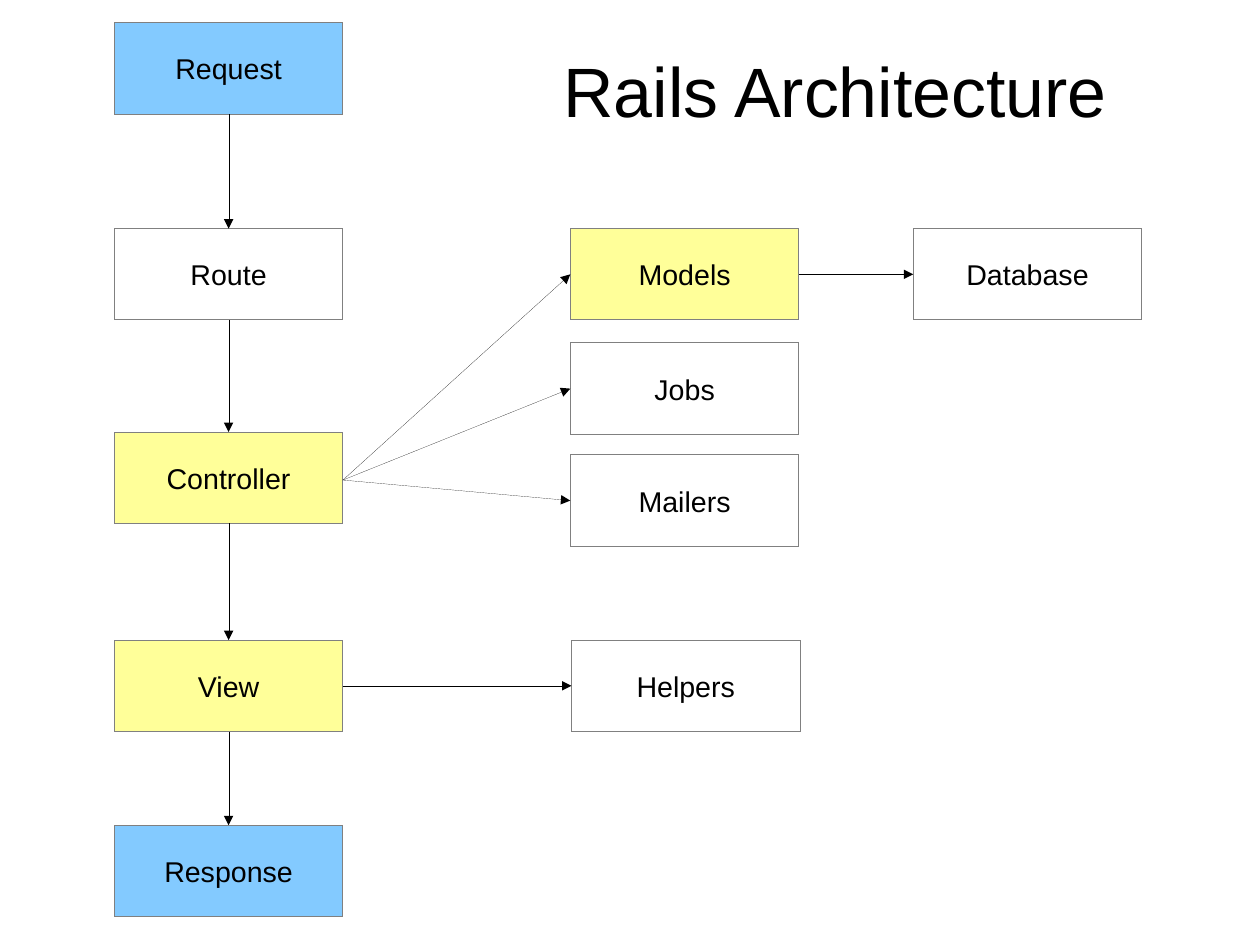
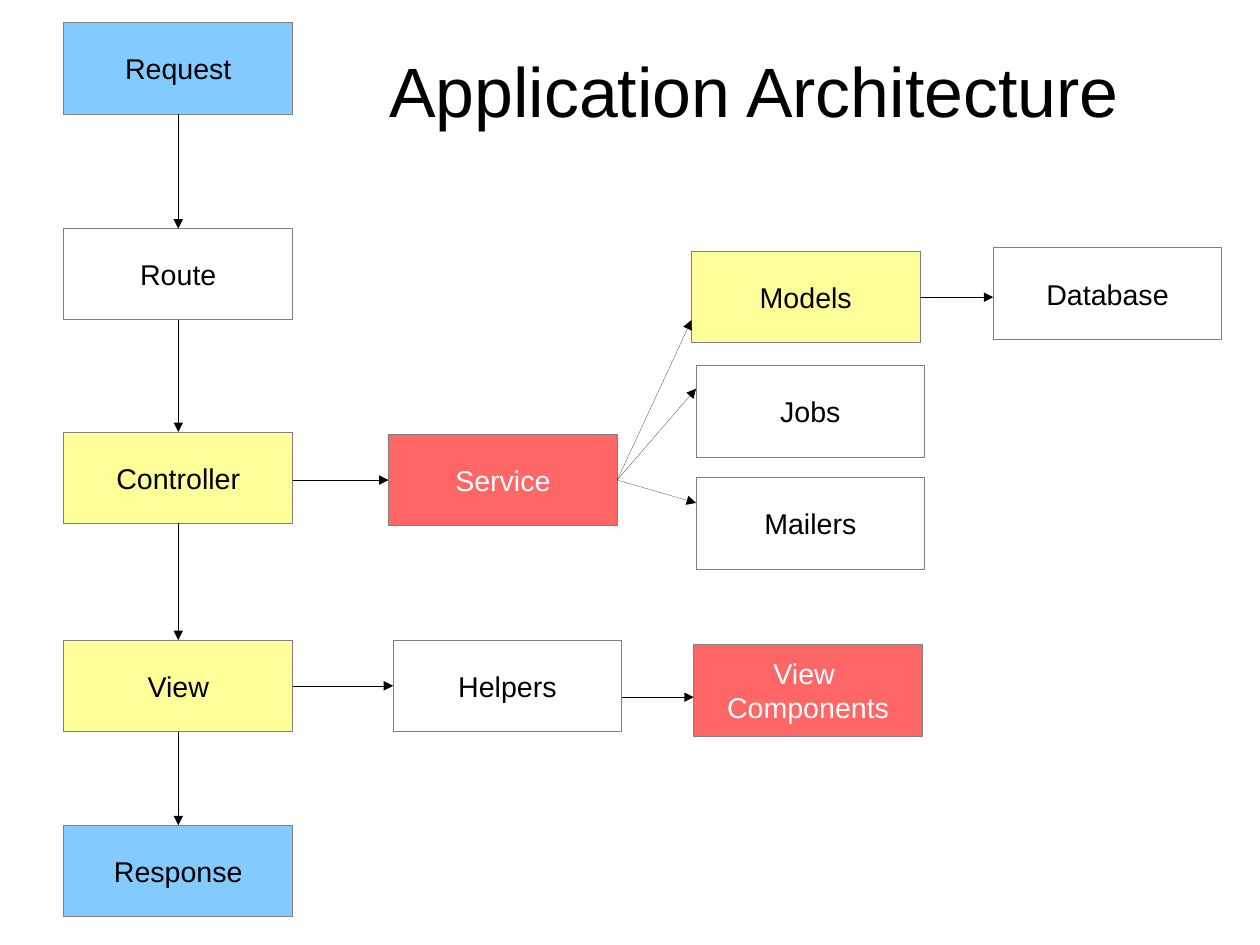
from dataclasses import dataclass
from typing import Optional

from lxml.etree import SubElement
from pptx import Presentation
from pptx.dml.color import RGBColor
from pptx.enum.shapes import MSO_CONNECTOR, MSO_SHAPE
from pptx.enum.text import MSO_ANCHOR, PP_ALIGN
from pptx.oxml.ns import qn
from pptx.shapes.autoshape import Shape
from pptx.shapes.connector import Connector
from pptx.slide import Slide
from pptx.text.text import TextFrame
from pptx.util import Inches, Pt

# Shared style
BLACK = RGBColor(0x00, 0x00, 0x00)
WHITE = RGBColor(0xFF, 0xFF, 0xFF)
GRAY = RGBColor(0x80, 0x80, 0x80)
BLUE = RGBColor(0x83, 0xCA, 0xFF)
YELLOW = RGBColor(0xFF, 0xFF, 0x99)
RED = RGBColor(0xFF, 0x66, 0x66)
FONT = "Arial"
CM_PER_INCH = 2.54
SLIDE_WIDTH, SLIDE_HEIGHT = 28 / CM_PER_INCH, 21 / CM_PER_INCH
BOX_WIDTH, BOX_HEIGHT = 2.0, 0.8
TITLE_TOP, TITLE_WIDTH, TITLE_HEIGHT = 0.09, 7.0, 1.38
TOP, LEFT, BOTTOM, RIGHT = range(4)


@dataclass(frozen=True)
class Box:
    text: str
    left: float
    top: float
    fill: RGBColor = WHITE
    color: RGBColor = BLACK


@dataclass(frozen=True)
class Arrow:
    """An arrow; a given start_y or end_y replaces the middle of the side."""
    source: str
    target: str
    start_side: int = RIGHT
    end_side: int = LEFT
    start_y: Optional[float] = None
    end_y: Optional[float] = None


@dataclass(frozen=True)
class Diagram:
    title: str
    title_center: float
    boxes: list[Box]
    arrows: list[Arrow]


def request_flow(left: float) -> list[Box]:
    return [
        Box("Request", left, 0.2, BLUE),
        Box("Route", left, 2),
        Box("Controller", left, 3.78, YELLOW),
        Box("View", left, 5.6, YELLOW),
        Box("Response", left, 7.22, BLUE),
    ]


def back_end(left: float, models_left: float, top: float) -> list[Box]:
    return [
        Box("Models", models_left, top, YELLOW),
        Box("Jobs", left, top + 1),
        Box("Mailers", left, top + 1.98),
    ]


VIEW_COMPONENTS = "View \nComponents"
FLOW_NAMES = [box.text for box in request_flow(0)]
SHARED_ARROWS = [
    Arrow(source, target, BOTTOM, TOP)
    for source, target in zip(FLOW_NAMES, FLOW_NAMES[1:])
] + [Arrow("View", "Helpers")]

DIAGRAMS = [
    Diagram(
        "Rails Architecture", 7.31,
        request_flow(1) + back_end(4.99, 4.99, 2) + [
            Box("Helpers", 5, 5.6),
            Box("Database", 7.99, 2),
        ],
        SHARED_ARROWS + [Arrow("Models", "Database")] + [
            Arrow("Controller", name, start_y=4.2)
            for name in ("Models", "Jobs", "Mailers")
        ],
    ),
    Diagram(
        "Application Architecture", 6.6,
        request_flow(0.56) + back_end(6.09, 6.05, 2.2) + [
            Box("Helpers", 3.44, 5.6),
            Box("Database", 8.69, 2.17),
            Box("Service", 3.4, 3.8, RED, WHITE),
            Box(VIEW_COMPONENTS, 6.07, 5.64, RED, WHITE),
        ],
        SHARED_ARROWS + [
            Arrow("Models", "Database", end_y=2.6),
            Arrow("Controller", "Service", start_y=4.2),
            Arrow("Service", "Models", end_y=2.8),
            Arrow("Service", "Jobs", end_y=3.4),
            Arrow("Service", "Mailers", end_y=4.4),
            Arrow("Helpers", VIEW_COMPONENTS, start_y=6.1, end_y=6.1),
        ],
    ),
]


def set_text(text_frame: TextFrame, text: str, size: int, color: RGBColor) -> None:
    text_frame.text = text
    text_frame.word_wrap = True
    text_frame.vertical_anchor = MSO_ANCHOR.MIDDLE
    for paragraph in text_frame.paragraphs:
        paragraph.alignment = PP_ALIGN.CENTER
        for run in paragraph.runs:
            run.font.name = FONT
            run.font.size = Pt(size)
            run.font.color.rgb = color


def set_hairline(shape: Shape | Connector, color: RGBColor) -> None:
    shape.line.color.rgb = color
    # The library leaves out a zero width, so the theme would widen the line
    shape.element.spPr.find(qn("a:ln")).set("w", "0")


def add_title(slide: Slide, text: str, center: float) -> None:
    shape = slide.shapes.add_textbox(
        Inches(center - TITLE_WIDTH / 2), Inches(TITLE_TOP),
        Inches(TITLE_WIDTH), Inches(TITLE_HEIGHT))
    text_frame = shape.text_frame
    text_frame.margin_left = text_frame.margin_right = 0
    text_frame.margin_top = text_frame.margin_bottom = 0
    set_text(text_frame, text, 44, BLACK)


def add_box(slide: Slide, box: Box) -> Shape:
    shape = slide.shapes.add_shape(
        MSO_SHAPE.RECTANGLE, Inches(box.left), Inches(box.top),
        Inches(BOX_WIDTH), Inches(BOX_HEIGHT))
    shape.shadow.inherit = False
    shape.fill.solid()
    shape.fill.fore_color.rgb = box.fill
    set_hairline(shape, GRAY)
    set_text(shape.text_frame, box.text, 18, box.color)
    return shape


def side_point(shape: Shape, side: int, y: Optional[float]) -> tuple[int, int]:
    x_share, y_share = {TOP: (0.5, 0), LEFT: (0, 0.5), BOTTOM: (0.5, 1), RIGHT: (1, 0.5)}[side]
    middle_y = shape.top + int(shape.height * y_share)
    return shape.left + int(shape.width * x_share), middle_y if y is None else Inches(y)


def add_arrow(slide: Slide, arrow: Arrow, shapes: dict[str, Shape]) -> None:
    source, target = shapes[arrow.source], shapes[arrow.target]
    connector = slide.shapes.add_connector(
        MSO_CONNECTOR.STRAIGHT,
        *side_point(source, arrow.start_side, arrow.start_y),
        *side_point(target, arrow.end_side, arrow.end_y))
    if arrow.start_y is None:
        connector.begin_connect(source, arrow.start_side)
    if arrow.end_y is None:
        connector.end_connect(target, arrow.end_side)
    set_hairline(connector, BLACK)
    # Arrowhead, and no shadow
    properties = connector.element.spPr
    SubElement(properties.find(qn("a:ln")), qn("a:tailEnd"), type="triangle")
    SubElement(properties, qn("a:effectLst"))


def main() -> None:
    presentation = Presentation()
    presentation.slide_width = Inches(SLIDE_WIDTH)
    presentation.slide_height = Inches(SLIDE_HEIGHT)
    blank_layout = presentation.slide_layouts[6]
    for diagram in DIAGRAMS:
        slide = presentation.slides.add_slide(blank_layout)
        add_title(slide, diagram.title, diagram.title_center)
        shapes = {box.text: add_box(slide, box) for box in diagram.boxes}
        for arrow in diagram.arrows:
            add_arrow(slide, arrow, shapes)
    presentation.save("out.pptx")


if __name__ == "__main__":
    main()
